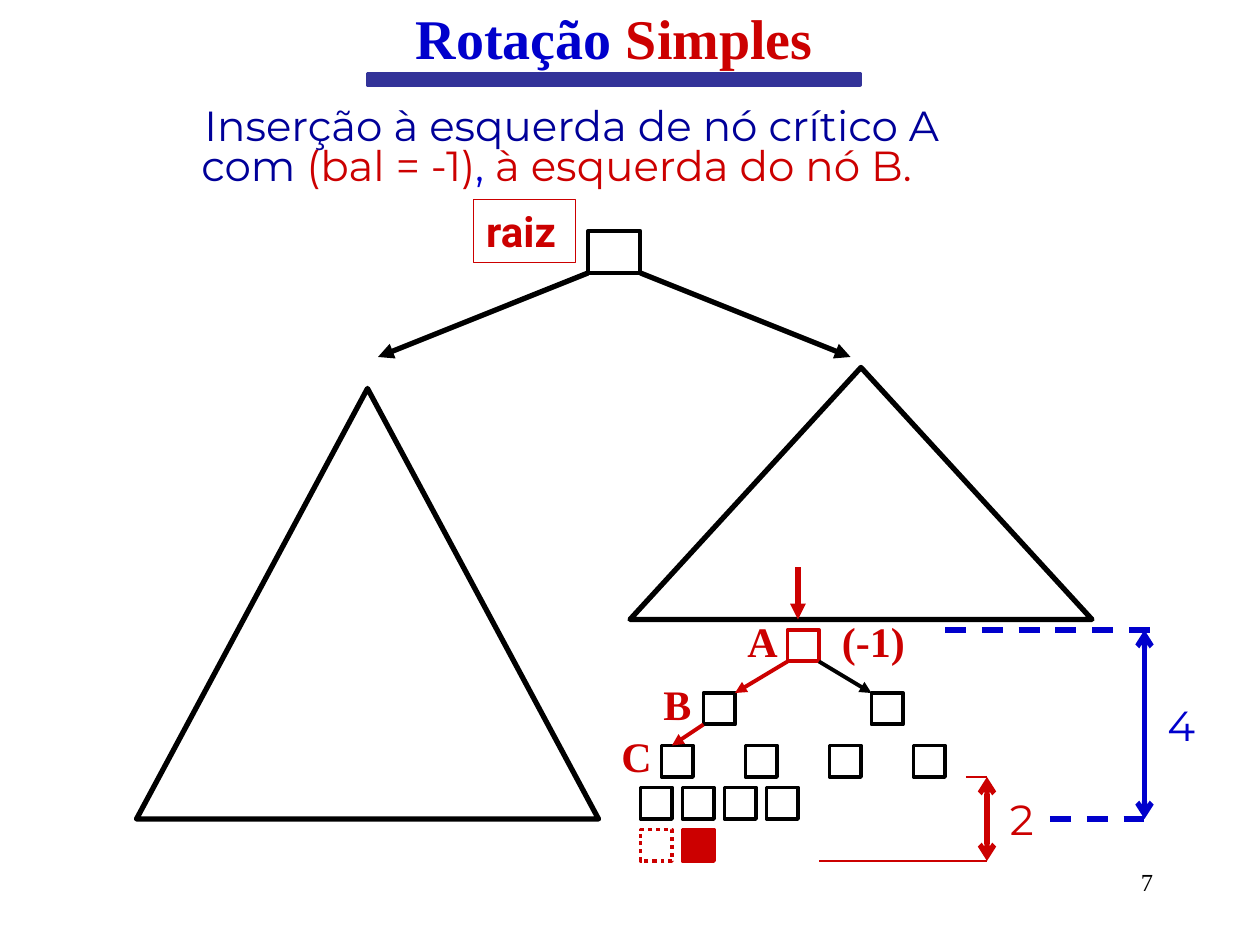
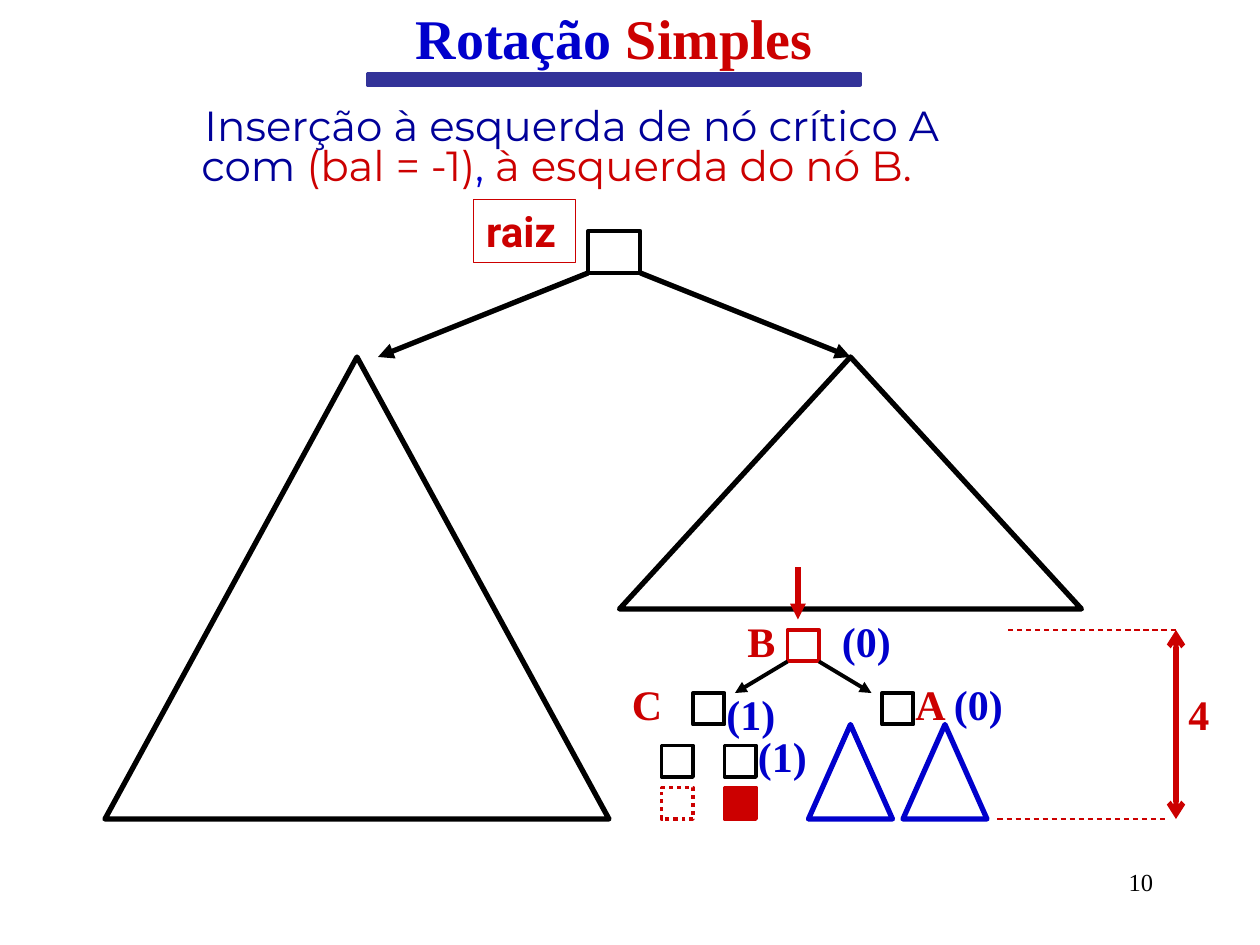
from dataclasses import dataclass

from pptx import Presentation
from pptx import util as u
from pptx.dml import color as dml
from pptx.enum import dml as dashes
from pptx.enum import shapes, text
from pptx.oxml import xmlchemy
from pptx.oxml.ns import qn

DASH = dashes.MSO_LINE.DASH
DOT = dashes.MSO_LINE.ROUND_DOT


@dataclass(frozen=True)
class Theme:
    black: str = "000000"
    red: str = "CC0000"
    blue: str = "0000CC"
    navy: str = "000099"
    band: str = "333399"
    serif: str = "Times New Roman"
    sans: str = "Montserrat"
    tag: str = "Roboto"
    title_size: float = 32
    body_size: float = 24
    page_size: float = 14
    thin: float = 0.75
    medium: float = 1.5
    node_line: float = 2.25
    thick: float = 3
    node: float = 18
    label_height: float = 36


def rgb(value):
    return dml.RGBColor.from_string(value)


def write(frame, lines, *, font, size, bold=False, align=text.PP_ALIGN.LEFT,
          anchor=text.MSO_ANCHOR.TOP, wrap=True, indents=(), leading=None):
    frame.word_wrap = wrap
    frame.vertical_anchor = anchor
    for index, parts in enumerate(lines):
        paragraph = frame.paragraphs[0] if index == 0 else frame.add_paragraph()
        paragraph.alignment = align
        if leading:
            paragraph.line_spacing = u.Pt(leading)
        if indents:
            properties = paragraph._p.get_or_add_pPr()
            properties.set("marL", str(u.Pt(indents[index])))
            properties.set("indent", "0")
        for words, color in parts:
            run = paragraph.add_run()
            run.text = words
            run.font.name = font
            run.font.size = u.Pt(size)
            run.font.bold = bold
            run.font.color.rgb = rgb(color)


class Board:
    def __init__(self, deck, theme):
        self.deck = deck
        self.theme = theme
        self.slide = None

    def new_slide(self):
        self.slide = self.deck.slides.add_slide(self.deck.slide_layouts[6])

    def stroke(self, line, color, width, dash=None):
        line.color.rgb = rgb(color)
        line.width = u.Pt(width)
        if dash:
            line.dash_style = dash

    def shape(self, kind, x, y, width, height, color, weight, fill=None, dash=None):
        shape = self.slide.shapes.add_shape(
            kind, u.Pt(x), u.Pt(y), u.Pt(width), u.Pt(height))
        shape.shadow.inherit = False
        if fill:
            shape.fill.solid()
            shape.fill.fore_color.rgb = rgb(fill)
        else:
            shape.fill.background()
        self.stroke(shape.line, color, weight, dash)
        return shape

    def box(self, *args, **style):
        return self.shape(shapes.MSO_SHAPE.RECTANGLE, *args, **style)

    def node(self, x, y, color=None, **style):
        side = self.theme.node
        self.box(x, y, side, side, color or self.theme.black,
                 self.theme.node_line, **style)

    def level(self, x, y, step, count):
        for index in range(count):
            self.node(x + index * step, y)

    def subtree(self, x, y, width, height, color=None):
        outline = self.shape(shapes.MSO_SHAPE.ISOSCELES_TRIANGLE, x, y, width, height,
                             color or self.theme.black, self.theme.thick)
        outline._element.spPr.get_or_add_ln().append(
            xmlchemy.OxmlElement("a:round"))

    def line(self, start, end, color, width, dash=None, head=None, tail=None):
        link = self.slide.shapes.add_connector(
            shapes.MSO_CONNECTOR.STRAIGHT, *map(u.Pt, start + end))
        self.stroke(link.line, color, width, dash)
        properties = link._element.spPr
        for tag, kind in (("a:headEnd", head), ("a:tailEnd", tail)):
            if kind:
                tip = xmlchemy.OxmlElement(tag)
                tip.set("type", kind)
                properties.find(qn("a:ln")).append(tip)
        properties.append(xmlchemy.OxmlElement("a:effectLst"))

    def arrow(self, start, end, color, width):
        self.line(start, end, color, width, tail="triangle")

    def gauge(self, x, top, bottom, top_guide, bottom_guide, color, width, dash=None):
        for y, (left, right) in ((top, top_guide), (bottom, bottom_guide)):
            self.line((left, y), (right, y), color, width, dash)
        self.line((x, top), (x, bottom), color, self.theme.thick,
                  head="arrow", tail="arrow")

    def text(self, x, y, width, height, lines, inset_top=3.6, **style):
        frame = self.slide.shapes.add_textbox(
            u.Pt(x), u.Pt(y), u.Pt(width), u.Pt(height)).text_frame
        frame.margin_top = u.Pt(inset_top)
        write(frame, lines, **style)

    def label(self, x, y, width, *parts, font=None, bold=True):
        self.text(x, y, width, self.theme.label_height, [parts],
                  font=font or self.theme.serif, size=self.theme.body_size, bold=bold)

    def frame(self, page):
        t = self.theme
        self.new_slide()
        self.text(516, 492, 150, 36, [[(page, t.black)]], font=t.serif,
                  size=t.page_size, align=text.PP_ALIGN.RIGHT)
        self.box(210, 42, 281.5, 6.5, t.band, 2, fill=t.band)
        self.text(84, 54, 534, 60, [
            [("Inserção à esquerda de nó crítico A", t.navy)],
            [("com ", t.navy), ("(bal = -1)", t.red), (",", t.blue),
             (" à esquerda do nó B.", t.red)],
        ], font=t.sans, size=t.body_size, inset_top=8.4,
            indents=(25.8, 24), leading=23)
        self.text(114, 0, 474, 42, [[("Rotação ", t.blue), ("Simples", t.red)]],
                  font=t.serif, size=t.title_size, bold=True,
                  align=text.PP_ALIGN.CENTER, anchor=text.MSO_ANCHOR.MIDDLE)

    def root(self):
        t = self.theme
        self.box(336, 132, 30, 24, t.black, t.node_line)
        self.arrow((336, 156), (216, 204), t.black, t.thick)
        self.arrow((366, 156), (486, 204), t.black, t.thick)
        tag = self.box(270.7, 114, 58.3, 36, t.red, t.thin)
        write(tag.text_frame, [[("raiz", t.red)]], font=t.tag,
              size=t.body_size, bold=True, wrap=False)

    def pivot(self, left_color):
        t = self.theme
        self.node(450, 360, t.red)
        self.arrow((450, 378), (420, 396), left_color, t.node_line)
        self.arrow((468, 378), (498, 396), t.black, t.node_line)
        self.arrow((456, 324), (456, 354), t.red, t.thick)

    def inserted(self, empty_x, new_x, y):
        self.node(new_x, y, self.theme.red, fill=self.theme.red)
        self.node(empty_x, y, self.theme.red, dash=DOT)


def before_rotation(board):
    t = board.theme
    board.frame("7")
    board.root()
    board.subtree(78, 222, 264, 246)
    board.subtree(360, 210, 264, 144)
    for x, y, step, count in ((402, 396, 96, 2), (378, 426, 48, 4), (366, 450, 24, 4)):
        board.level(x, y, step, count)
    board.pivot(t.red)
    board.arrow((402, 414), (384, 426), t.red, t.node_line)
    board.inserted(366, 390, 474)
    for x, y, width, words in ((474, 348, 72, "(-1)"), (420, 348, 36, "A"),
                               (372, 384, 36, "B"), (348, 414, 36, "C")):
        board.label(x, y, width, (words, t.red))
    board.gauge(564, 444, 492, (552, 564), (468, 564), t.red, t.medium)
    board.label(570, 450, 24, ("2", t.red), font=t.sans, bold=False)
    board.gauge(654, 360, 468, (540, 660), (600, 654), t.blue, t.thick, DASH)
    board.label(660, 396, 36, ("4", t.blue), font=t.sans, bold=False)


def after_rotation(board):
    t = board.theme
    board.frame("10")
    board.root()
    board.subtree(60, 204, 288, 264)
    board.subtree(354, 204, 264, 144)
    board.level(396, 396, 108, 2)
    board.level(378, 426, 36, 2)
    board.pivot(t.black)
    for x in (516, 462):
        board.subtree(x, 414, 48, 54, t.blue)
    board.inserted(378, 414, 450)
    for x, y, width, words, color in (
            (474, 348, 48, "(0)", t.blue), (420, 348, 36, "B", t.red),
            (354, 384, 36, "C", t.red), (408, 390, 48, "(1)", t.blue),
            (426, 414, 48, "(1)", t.blue), (672, 390, 36, "4", t.red)):
        board.label(x, y, width, (words, color))
    board.label(516, 384, 72, ("A ", t.red), ("(0)", t.blue))
    board.gauge(672, 360, 468, (576, 672), (570, 666), t.red, t.thin, DASH)


def main():
    deck = Presentation()
    deck.slide_width, deck.slide_height = u.Pt(720), u.Pt(540)
    board = Board(deck, Theme())
    before_rotation(board)
    after_rotation(board)
    deck.save("out.pptx")


if __name__ == "__main__":
    main()
